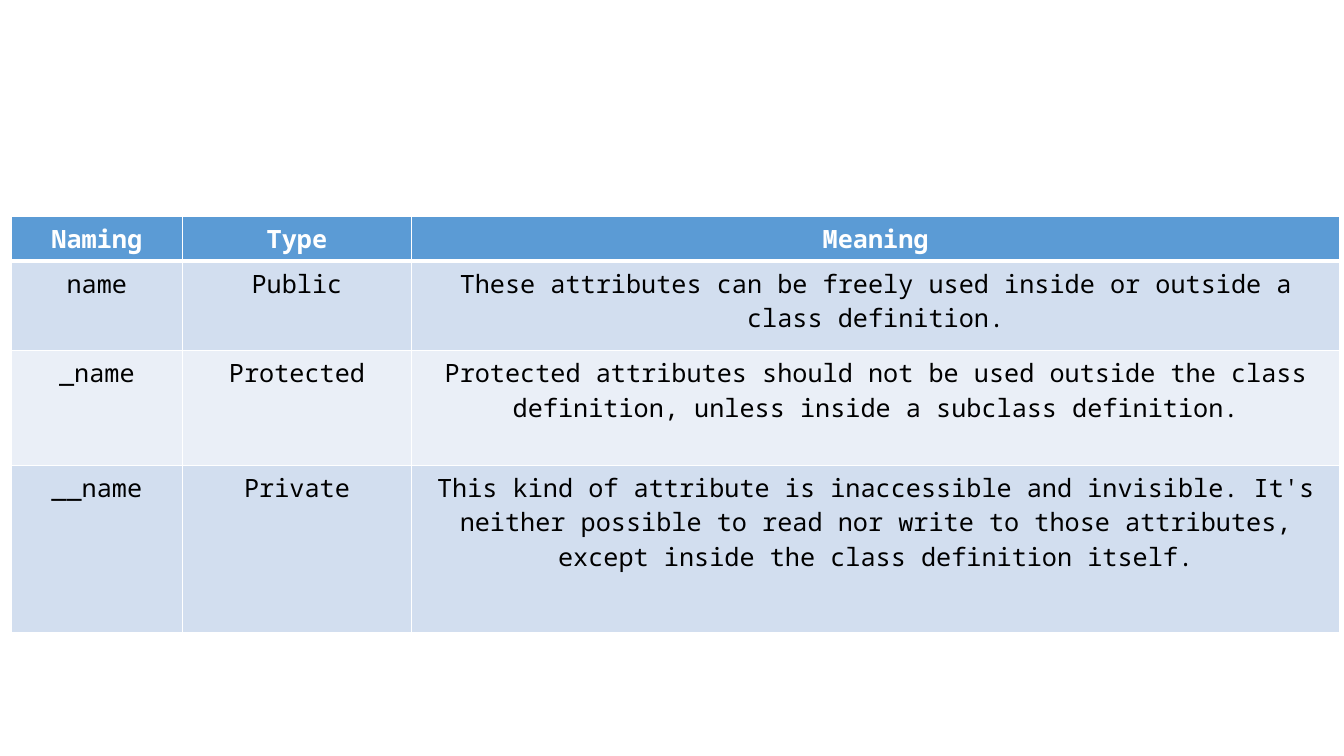
from pptx import Presentation
from pptx import util as u
from pptx.dml.color import RGBColor
from pptx.enum import text
from pptx.oxml import parse_xml
from pptx.oxml.ns import nsdecls

WHITE = RGBColor(0xFF, 0xFF, 0xFF)
BLACK = RGBColor(0x00, 0x00, 0x00)
BLUE = RGBColor(0x5B, 0x9B, 0xD5)
BANDS = RGBColor(0xEA, 0xEF, 0xF7), RGBColor(0xD2, 0xDE, 0xEF)

COLS = 12.75, 17.03, 69.09
ROWS = 4.13, 11.87, 15.2, 22.13
DATA = [
    ("Naming", "Type", "Meaning"),
    ("name", "Public",
     "These attributes can be freely used inside or outside a class definition."),
    ("_name", "Protected",
     "Protected attributes should not be used outside the class definition, "
     "unless inside a subclass definition."),
    ("__name", "Private",
     "This kind of attribute is inaccessible and invisible. It's neither possible "
     "to read nor write to those attributes, except inside the class definition itself."),
]


class Deck:
    """Draws on one slide, with lengths in percent of its size."""

    font = "Noto Sans Mono"
    size = u.Pt(18)

    def __init__(self):
        self.prs = Presentation()
        self.prs.slide_width = u.Inches(13.33)
        self.prs.slide_height = u.Inches(7.5)
        self.slide = self.prs.slides.add_slide(self.prs.slide_layouts[6])

    def wide(self, share):
        return round(self.prs.slide_width * share / 100)

    def high(self, share):
        return round(self.prs.slide_height * share / 100)

    def edge(self, cell, side, width):
        cell._tc.get_or_add_tcPr().append(parse_xml(
            f'<a:ln{side} {nsdecls("a")} w="{u.Pt(width)}"><a:solidFill>'
            f'<a:srgbClr val="{WHITE}"/></a:solidFill></a:ln{side}>'))

    def cell(self, cell, words, row):
        head = row == 0
        for side in "LRTB":
            thick = (head and side == "B") or (row == 1 and side == "T")
            self.edge(cell, side, 3 if thick else 1)
        cell.fill.solid()
        cell.fill.fore_color.rgb = BLUE if head else BANDS[row % 2]
        cell.text_frame.text = words
        para = cell.text_frame.paragraphs[0]
        para.alignment = text.PP_ALIGN.CENTER
        font = para.runs[0].font
        font.name, font.size, font.bold = self.font, self.size, head
        font.color.rgb = WHITE if head else BLACK

    def table(self, left, top, cols, rows, data):
        grid = self.slide.shapes.add_table(
            len(rows), len(cols), self.wide(left), self.high(top),
            self.wide(sum(cols)), self.high(sum(rows))).table
        for col, share in zip(grid.columns, cols):
            col.width = self.wide(share)
        for row, share in zip(grid.rows, rows):
            row.height = self.high(share)
        for r, line in enumerate(data):
            for c, words in enumerate(line):
                self.cell(grid.cell(r, c), words, r)


def main():
    deck = Deck()
    deck.table(0.83, 28.67, COLS, ROWS, DATA)
    deck.prs.save("out.pptx")


if __name__ == "__main__":
    main()
